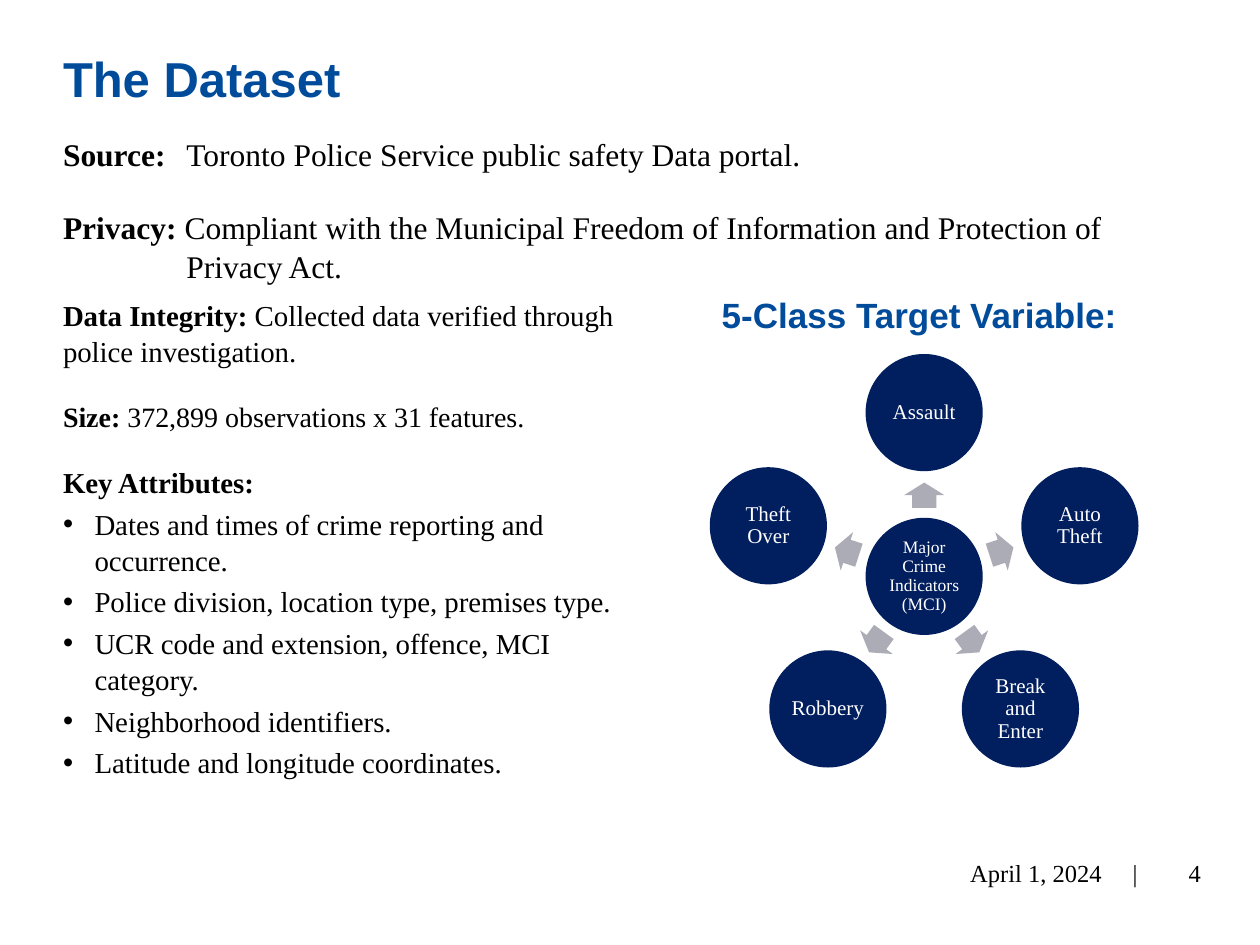
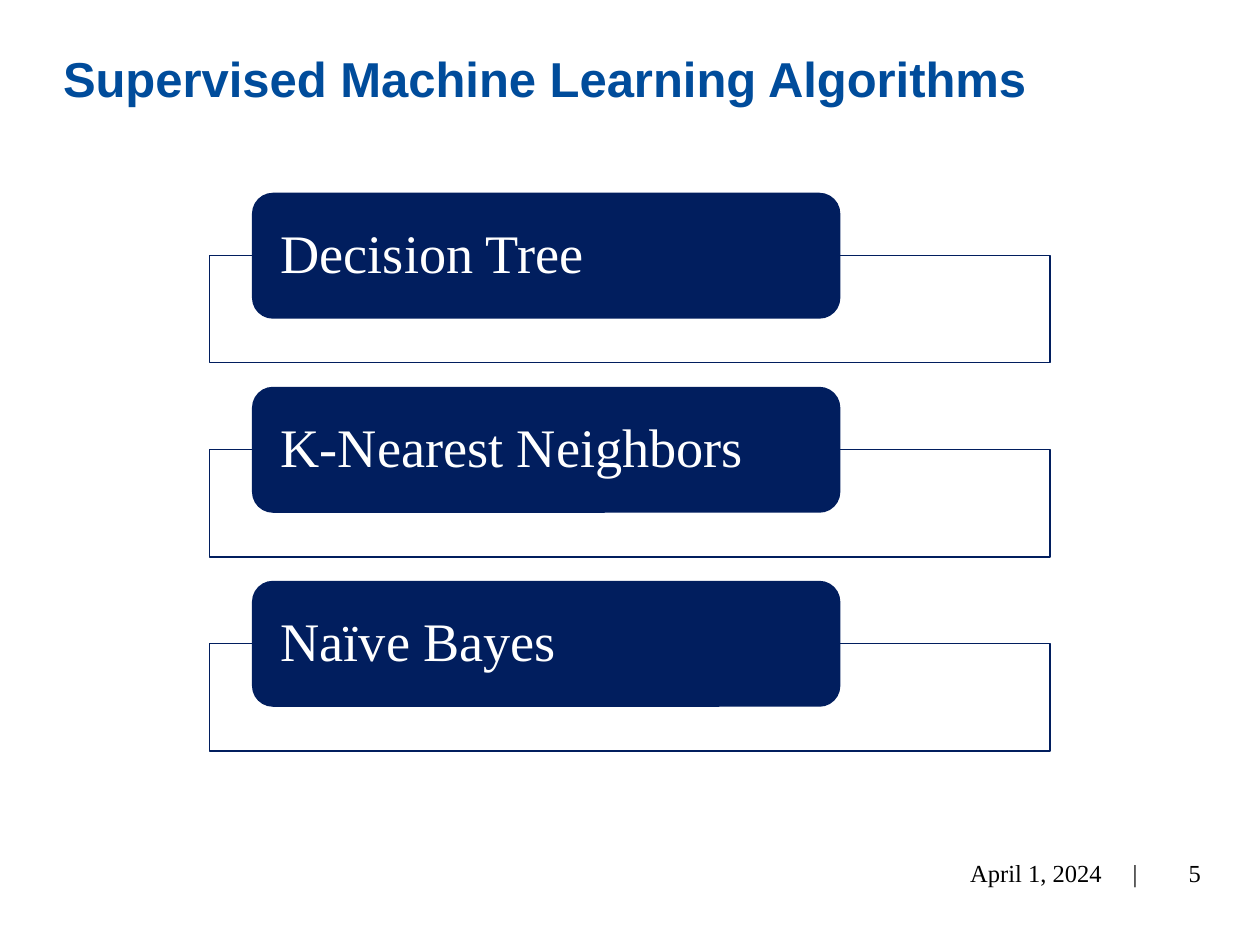
from dataclasses import dataclass
from math import cos, radians, sin

from lxml import etree
from pptx import Presentation
from pptx import util as u
from pptx.dml.color import RGBColor
from pptx.enum import shapes, text
from pptx.oxml.ns import qn

SCALE = 9144  # EMU per px, 100 px to the inch


def px(n: float) -> u.Emu:
    return u.Emu(round(n * SCALE))


@dataclass(frozen=True)
class Theme:
    heading_font: str = "Arial"
    body_font: str = "Times New Roman"
    blue: str = "004C9B"
    navy: str = "011E5E"
    grey: str = "ABACB6"
    black: str = "000000"
    white: str = "FFFFFF"
    title_pt: float = 28
    title_line_pt: float = 26.6
    subtitle_pt: float = 20
    facts_pt: float = 18
    details_pt: float = 16.5
    size_pt: float = 16
    footer_pt: float = 14
    hub_pt: float = 10
    node_pt: float = 12
    algorithm_pt: float = 31
    body_spacing: float = 1.04
    shape_spacing: float = 0.9


T = Theme()


@dataclass(frozen=True)
class Box:
    x: int
    y: int
    w: int
    h: int


@dataclass(frozen=True)
class Entry:
    """A paragraph with a bold label followed by plain text."""
    label: str
    plain: str
    size: float = T.details_pt
    before: float = 3.3
    hang: int = 0
    bullet: bool = False


TITLE = Box(40, 43, 924, 46)
FACTS = Box(40, 101, 920, 122)
DETAILS = Box(40, 230, 460, 396)
SUBTITLE = Box(563, 228, 414, 46)
FOOTER_DATE = Box(660, 673, 253, 40)
FOOTER_NUMBER = Box(891, 673, 72, 40)

FACT_ENTRIES = [
    Entry("Source:", "\tToronto Police Service public safety Data portal.",
          T.facts_pt, 0, hang=98),
    Entry("Privacy:", " Compliant with the Municipal Freedom of Information "
          "and Protection of Privacy Act.", T.facts_pt, 19, hang=98),
]
DETAIL_ENTRIES = [
    Entry("Data Integrity:", " Collected data verified through police investigation.",
          before=0),
    Entry("Size:", " 372,899 observations x 31 features.", T.size_pt, 17.2),
    Entry("Key Attributes:", "", before=17.2),
] + [
    Entry("", item, hang=25, bullet=True) for item in (
        "Dates and times of crime reporting and occurrence.",
        "Police division, location type, premises type.",
        "UCR code and extension, offence, MCI category.",
        "Neighborhood identifiers.",
        "Latitude and longitude coordinates.",
    )
]
CRIMES = ["Assault", "Auto Theft", "Break and Enter", "Robbery", "Theft Over"]
ALGORITHMS = ["Decision Tree", "K-Nearest Neighbors", "Naïve Bayes"]


# Helpers
def style(font, size: float, color: str, name: str = T.body_font,
          bold: bool = False) -> None:
    font.name, font.size, font.bold = name, u.Pt(size), bold
    font.color.rgb = RGBColor.from_string(color)


def place(sp, box: Box) -> None:
    sp.left, sp.top, sp.width, sp.height = map(px, (box.x, box.y, box.w, box.h))


def set_insets(tf, x: float, y: float) -> None:
    tf.margin_left = tf.margin_right = px(x)
    tf.margin_top = tf.margin_bottom = px(y)


def add_label(s, box: Box, label: str, size: float, color: str, **font):
    sp = s.shapes.add_textbox(*map(px, (box.x, box.y, box.w, box.h)))
    tf = sp.text_frame
    tf.word_wrap = True
    tf.text = label
    style(tf.paragraphs[0].runs[0].font, size, color, **font)
    return tf


def add_filled(s, kind, cx: float, cy: float, w: float, h: float, fill: str):
    """Add a filled shape centred on (cx, cy), without line or shadow."""
    sp = s.shapes.add_shape(kind, px(cx - w / 2), px(cy - h / 2), px(w), px(h))
    sp.shadow.inherit = False
    sp.fill.solid()
    sp.fill.fore_color.rgb = RGBColor.from_string(fill)
    sp.line.fill.background()
    return sp


def write_in_shape(sp, label: str, size: float, align, inset: tuple) -> None:
    tf = sp.text_frame
    tf.word_wrap = True
    tf.vertical_anchor = text.MSO_ANCHOR.MIDDLE
    set_insets(tf, *inset)
    tf.text = label
    p = tf.paragraphs[0]
    p.alignment, p.line_spacing = align, T.shape_spacing
    style(p.runs[0].font, size, T.white)


# Shared title and footer
def add_slide(prs, layout: int, title: str, number: int):
    s = prs.slides.add_slide(prs.slide_layouts[layout])
    place(s.shapes.title, TITLE)
    tf = s.shapes.title.text_frame
    tf.auto_size = text.MSO_AUTO_SIZE.NONE
    tf.vertical_anchor = text.MSO_ANCHOR.TOP
    tf.text = title
    p = tf.paragraphs[0]
    p.alignment, p.line_spacing = text.PP_ALIGN.LEFT, u.Pt(T.title_line_pt)
    style(p.runs[0].font, T.title_pt, T.blue, T.heading_font, True)

    date = add_label(s, FOOTER_DATE, "April 1, 2024\t|", T.footer_pt, T.black)
    date.margin_left, date.margin_right = px(110), 0
    tabs = etree.SubElement(date.paragraphs[0]._p.get_or_add_pPr(), qn("a:tabLst"))
    etree.SubElement(tabs, qn("a:tab"), pos=str(px(129)), algn="l")
    page = add_label(s, FOOTER_NUMBER, str(number), T.footer_pt, T.black)
    page.paragraphs[0].alignment = text.PP_ALIGN.RIGHT
    for tf in (date, page):
        tf.vertical_anchor = text.MSO_ANCHOR.MIDDLE
    return s


def fill_body(sp, box: Box, entries: list[Entry]) -> None:
    place(sp, box)
    tf = sp.text_frame
    tf.auto_size = text.MSO_AUTO_SIZE.NONE
    for i, entry in enumerate(entries):
        p = tf.add_paragraph() if i else tf.paragraphs[0]
        p.space_before = u.Pt(entry.before)
        p.line_spacing = T.body_spacing
        pPr = p._p.get_or_add_pPr()
        pPr.set("marL", str(px(entry.hang)))
        pPr.set("indent", str(-px(entry.hang)))
        if entry.bullet:
            etree.SubElement(pPr, qn("a:buFont"), typeface=T.heading_font)
            etree.SubElement(pPr, qn("a:buChar"), char="•")
        else:
            etree.SubElement(pPr, qn("a:buNone"))
        for part, bold in ((entry.label, True), (entry.plain, False)):
            if part:
                r = p.add_run()
                r.text = part
                style(r.font, entry.size, T.black, bold=bold)


# Hub with the crime classes spread evenly around it
def draw_crime_wheel(s) -> None:
    cx, cy, diameter = 733.5, 457.5, 93
    node_radius, arrow_radius = 130, 64.5
    oval, arrow = shapes.MSO_SHAPE.OVAL, shapes.MSO_SHAPE.RIGHT_ARROW
    center = text.PP_ALIGN.CENTER

    hub = add_filled(s, oval, cx, cy, diameter, diameter, T.navy)
    write_in_shape(hub, "Major Crime Indicators (MCI)", T.hub_pt, center, (1, 1))
    for i, crime in enumerate(CRIMES):
        angle = i * 360 / len(CRIMES) - 90
        dx, dy = cos(radians(angle)), sin(radians(angle))
        sp = add_filled(s, arrow, cx + arrow_radius * dx, cy + arrow_radius * dy,
                        20, 32, T.grey)
        sp.rotation = angle % 360
        sp.adjustments[0], sp.adjustments[1] = 0.6, 0.5
        node = add_filled(s, oval, cx + node_radius * dx, cy + node_radius * dy,
                          diameter, diameter, T.navy)
        write_in_shape(node, crime, T.node_pt, center, (2, 2))


# Outlined rows, each with a rounded name plate over its top edge
def draw_algorithm_list(s) -> None:
    top, pitch = 153, 154
    for i, name in enumerate(ALGORITHMS):
        middle = top + i * pitch + 50
        frame = add_filled(s, shapes.MSO_SHAPE.RECTANGLE, 500, middle + 42.5,
                           667, 85, T.white)
        frame.line.color.rgb = RGBColor.from_string(T.navy)
        frame.line.width = u.Pt(0.75)
        plate = add_filled(s, shapes.MSO_SHAPE.ROUNDED_RECTANGLE, 433.5, middle,
                           467, 100, T.navy)
        write_in_shape(plate, name, T.algorithm_pt, text.PP_ALIGN.LEFT, (18, 0))


def main() -> None:
    prs = Presentation()
    prs.slide_width, prs.slide_height = px(1000), px(750)

    # Dataset: two-content layout
    s = add_slide(prs, 3, "The Dataset", 4)
    fill_body(s.placeholders[1], FACTS, FACT_ENTRIES)
    fill_body(s.placeholders[2], DETAILS, DETAIL_ENTRIES)
    add_label(s, SUBTITLE, "5-Class Target Variable:", T.subtitle_pt, T.blue,
              name=T.heading_font, bold=True)
    draw_crime_wheel(s)

    # Algorithms: title-only layout
    s = add_slide(prs, 5, "Supervised Machine Learning Algorithms", 5)
    draw_algorithm_list(s)

    prs.save("out.pptx")


if __name__ == "__main__":
    main()
